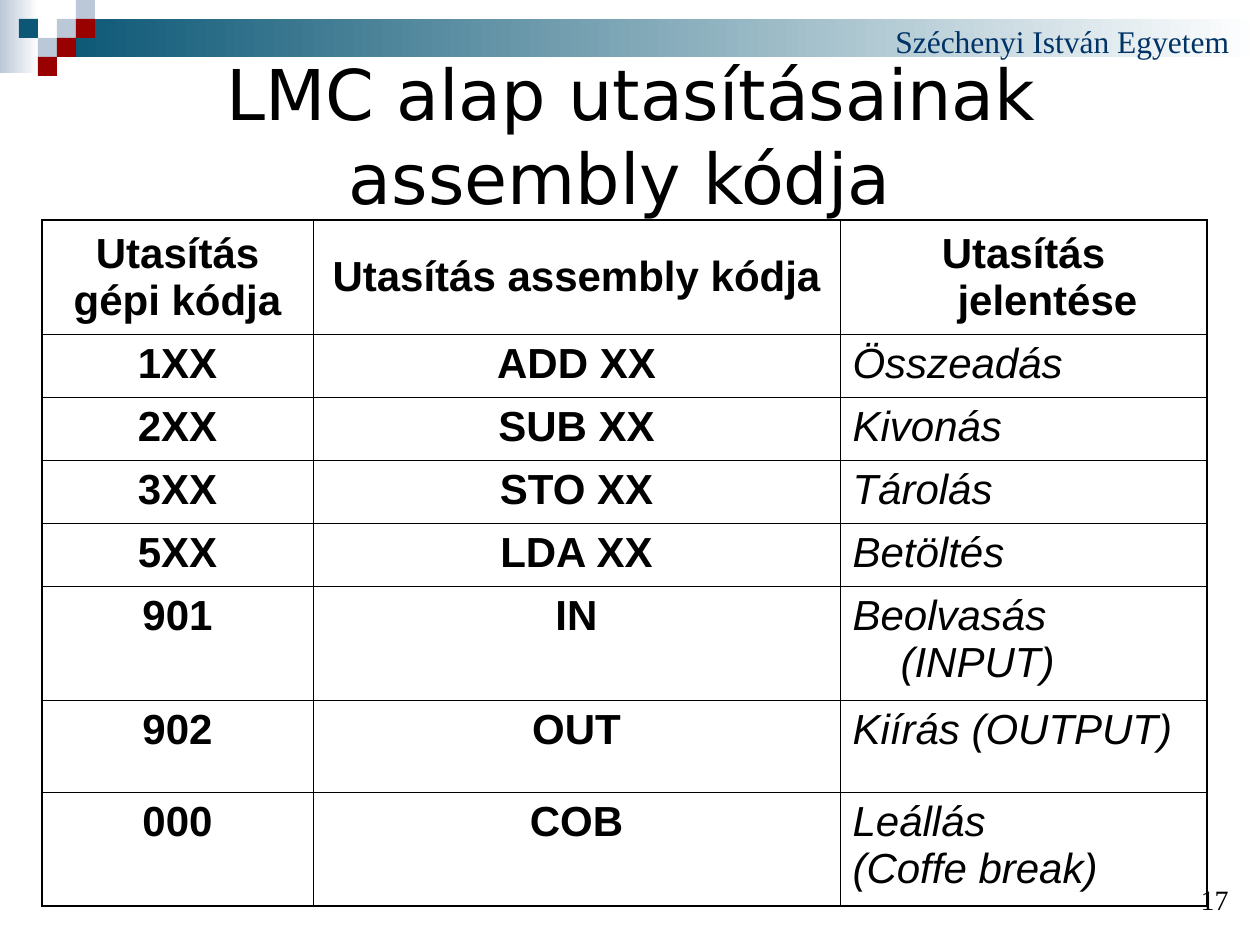
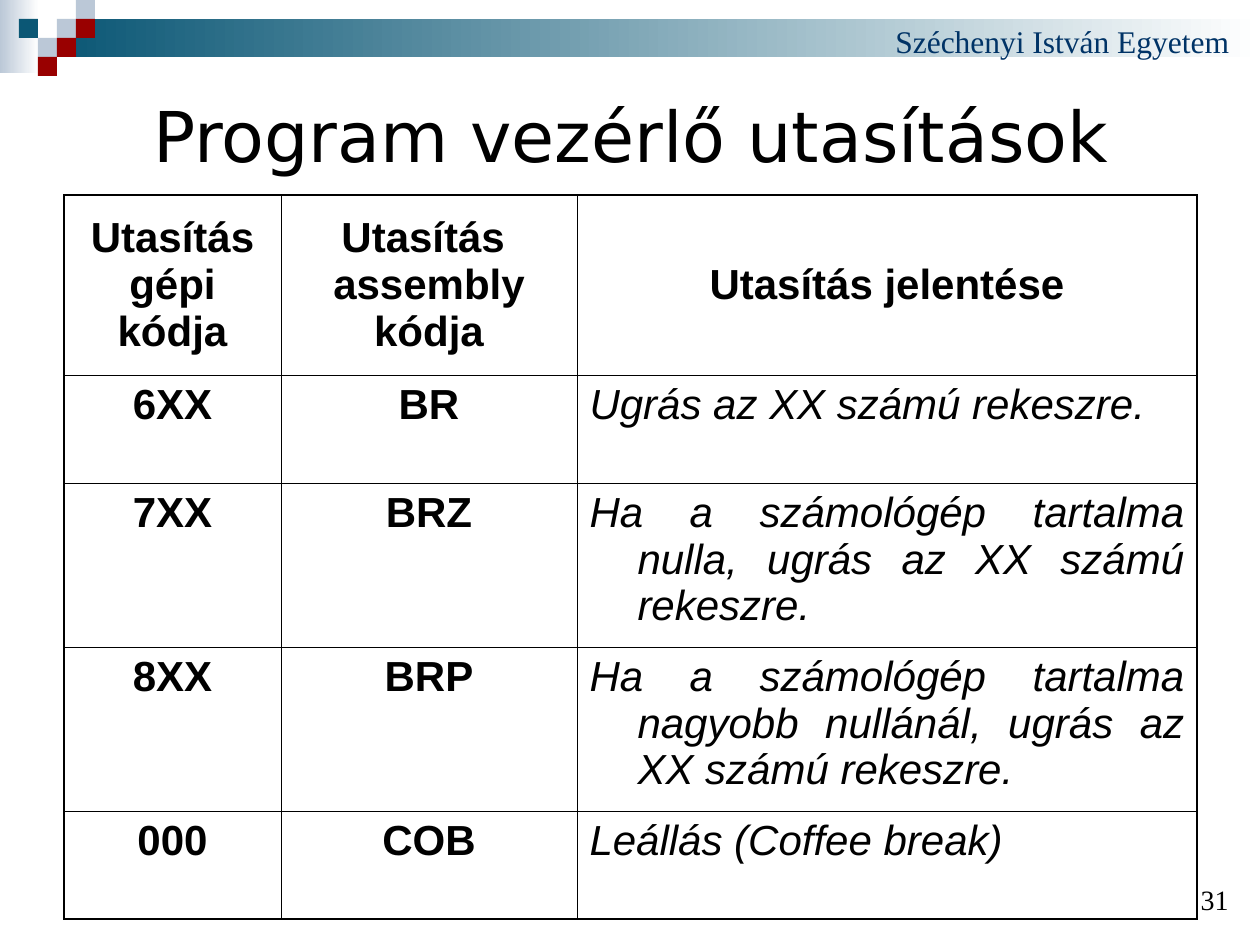
import lxml.etree
import pptx
import pptx.dml.color
import pptx.enum.shapes
import pptx.enum.text
import pptx.oxml.ns
import pptx.util

RGB = pptx.dml.color.RGBColor
ALIGN = pptx.enum.text.PP_ALIGN
ANCHOR = pptx.enum.text.MSO_ANCHOR
RECTANGLE = pptx.enum.shapes.MSO_SHAPE.RECTANGLE

WHITE = RGB(0xFF, 0xFF, 0xFF)
BLACK = RGB(0x00, 0x00, 0x00)
MIST = RGB(0xBB, 0xC8, 0xD7)
TEAL = RGB(0x0B, 0x57, 0x75)
RED = RGB(0x99, 0x00, 0x00)
NAVY = RGB(0x00, 0x33, 0x66)

PX_PER_INCH = 126
SQUARE = 19
HANGING = 48
OUTER_LINE = 0.96
INNER_LINE = 0.45

PAGE_BOX = (0, 0, 1260, 945)
TITLE_BOX = (64, 86, 1134, 97)
NUMBER_BOX = (1096, 879, 145, 43)
MOSAIC = [(3, 1, MIST), (4, 0, MIST), (4, 1, RED), (2, 2, MIST),
          (1, 1, TEAL), (3, 2, RED), (2, 3, RED)]

BASIC_CODES = [
    ("Utasítás gépi kódja", "Utasítás assembly kódja", "Utasítás jelentése"),
    ("1XX", "ADD XX", "Összeadás"),
    ("2XX", "SUB XX", "Kivonás"),
    ("3XX", "STO XX", "Tárolás"),
    ("5XX", "LDA XX", "Betöltés"),
    ("901", "IN", "Beolvasás (INPUT)"),
    ("902", "OUT", "Kiírás (OUTPUT)"),
    ("000", "COB", ("Leállás", "(Coffe break)")),
]
CONTROL_CODES = [
    ("Utasítás gépi kódja", "Utasítás \nassembly kódja", "Utasítás jelentése"),
    ("6XX", "BR", "Ugrás az XX számú rekeszre."),
    ("7XX", "BRZ", "Ha a számológép tartalma nulla, ugrás az XX számú rekeszre."),
    ("8XX", "BRP", "Ha a számológép tartalma nagyobb nullánál, ugrás az XX számú rekeszre."),
    ("000", "COB", "Leállás (Coffee break)"),
]


def px(length):
    return pptx.util.Emu(round(length * 914400 / PX_PER_INCH))


def style_font(font, name, size, color, bold=False, italic=False):
    font.name = name
    font.size = pptx.util.Pt(size)
    font.color.rgb = color
    font.bold = bold
    font.italic = italic


def add_rectangle(page, box, color, fade=False):
    shape = page.shapes.add_shape(RECTANGLE, *map(px, box))
    shape.shadow.inherit = False
    shape.line.fill.background()
    if fade:
        shape.fill.gradient()
        shape.fill.gradient_angle = 0
        for stop, stop_color in zip(shape.fill.gradient_stops, (color, WHITE)):
            stop.color.rgb = stop_color
    else:
        shape.fill.solid()
        shape.fill.fore_color.rgb = color


def add_label(page, box, text, size, color, align, anchor):
    frame = page.shapes.add_textbox(*map(px, box)).text_frame
    frame.word_wrap = True
    frame.vertical_anchor = anchor
    para = frame.paragraphs[0]
    para.text = text
    para.alignment = align
    style_font(para.font, "Times New Roman", size, color)


def add_header(page, box):
    left, top, width, _ = box
    add_rectangle(page, (left, top, 39, 73), MIST, fade=True)
    band_left = 3 * SQUARE
    add_rectangle(page, (left + band_left, top + SQUARE, width - band_left, 2 * SQUARE),
                  TEAL, fade=True)
    for column, row, color in MOSAIC:
        add_rectangle(page, (left + column * SQUARE, top + row * SQUARE, SQUARE, SQUARE), color)
    add_label(page, (left + width - 377, top + 16, 377, 50), "Széchenyi István Egyetem",
              18, NAVY, ALIGN.LEFT, ANCHOR.TOP)


def set_title(page, box, text):
    title = page.shapes.title
    title.left, title.top, title.width, title.height = map(px, box)
    frame = title.text_frame
    frame.word_wrap = True
    frame.auto_size = pptx.enum.text.MSO_AUTO_SIZE.NONE
    frame.vertical_anchor = ANCHOR.MIDDLE
    para = frame.paragraphs[0]
    para.text = text
    para.alignment = ALIGN.CENTER
    style_font(para.font, "DejaVu Sans", 40, BLACK)


def set_borders(cell, outer_sides):
    properties = cell._tc.get_or_add_tcPr()
    for side in "LRTB":
        width = OUTER_LINE if side in outer_sides else INNER_LINE
        line = lxml.etree.SubElement(properties, pptx.oxml.ns.qn(f"a:ln{side}"),
                                     w=str(pptx.util.Pt(width)))
        fill = lxml.etree.SubElement(line, pptx.oxml.ns.qn("a:solidFill"))
        lxml.etree.SubElement(fill, pptx.oxml.ns.qn("a:srgbClr"), val=str(BLACK))


def fill_cell(cell, content, is_header, is_meaning, hanging):
    cell.vertical_anchor = ANCHOR.MIDDLE if is_header else ANCHOR.TOP
    described = is_meaning and not is_header
    lines = content if isinstance(content, tuple) else (content,)
    frame = cell.text_frame
    for index, line in enumerate(lines):
        para = frame.add_paragraph() if index else frame.paragraphs[0]
        para.text = line
        para.alignment = ALIGN.JUSTIFY if described else ALIGN.CENTER
        if hanging:
            properties = para._p.get_or_add_pPr()
            properties.set("marL", str(px(HANGING)))
            properties.set("indent", str(-px(HANGING)))
        style_font(para.font, "Arial", 24, BLACK, bold=not described, italic=described)


def add_code_table(page, corner, widths, heights, rows, plain_headers):
    box = (*corner, sum(widths), sum(heights))
    table = page.shapes.add_table(len(rows), len(widths), *map(px, box)).table
    table.first_row = False
    table.horz_banding = False
    for column, width in zip(table.columns, widths):
        column.width = px(width)
    for row, height in zip(table.rows, heights):
        row.height = px(height)
    last_row, last_column = len(rows) - 1, len(widths) - 1
    for r, contents in enumerate(rows):
        for c, content in enumerate(contents):
            cell = table.cell(r, c)
            edges = {"L": c == 0, "R": c == last_column, "T": r == 0, "B": r == last_row}
            set_borders(cell, [side for side, outer in edges.items() if outer])
            cell.fill.background()
            fill_cell(cell, content, r == 0, c == last_column,
                      hanging=r > 0 or c >= plain_headers)


def add_code_page(deck, title, number, **table):
    page = deck.slides.add_slide(deck.slide_layouts[5])
    add_header(page, PAGE_BOX)
    set_title(page, TITLE_BOX, title)
    add_code_table(page, **table)
    add_label(page, NUMBER_BOX, number, 16, BLACK, ALIGN.RIGHT, ANCHOR.BOTTOM)


def main():
    deck = pptx.Presentation()
    deck.slide_width, deck.slide_height = map(px, PAGE_BOX[2:])
    add_code_page(deck, "LMC alap utasításainak assembly kódja ", "17",
                  corner=(42, 220), widths=(271, 527, 367),
                  heights=(114, 63, 63, 63, 63, 114, 92, 114),
                  rows=BASIC_CODES, plain_headers=1)
    add_code_page(deck, "Program vezérlő utasítások", "31",
                  corner=(64, 195), widths=(217, 296, 620),
                  heights=(180, 108, 164, 164, 108),
                  rows=CONTROL_CODES, plain_headers=2)
    deck.save("out.pptx")


if __name__ == "__main__":
    main()
